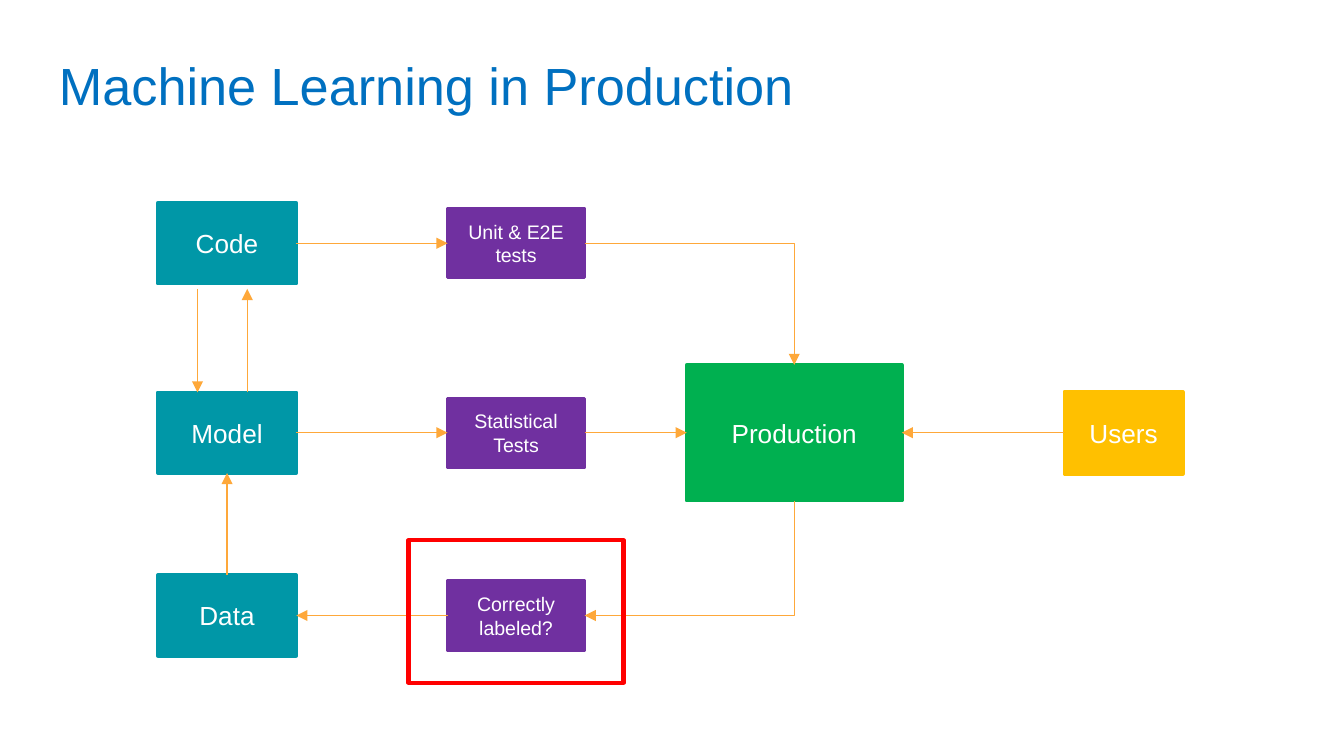
from typing import NamedTuple

from lxml.etree import SubElement
from pptx import Presentation
from pptx.dml.color import RGBColor
from pptx.enum.shapes import MSO_CONNECTOR, MSO_SHAPE
from pptx.enum.text import MSO_ANCHOR, PP_ALIGN
from pptx.oxml.ns import qn
from pptx.util import Inches, Pt

WIDE = 10
HIGH = WIDE * 9 / 16
FONT = "Arial"
HEX = {"title": "0070C0", "asset": "0097A7", "test": "7030A0", "prod": "00B050",
       "user": "FFC000", "arrow": "FEA83A", "mark": "FF0000", "text": "FFFFFF"}

# Grid: centres of the columns and rows; the last row is for the red frame
COLS = [1.69, 3.84, 5.91, 8.36]
ROWS = [1.81, 3.22, 4.58, 4.55]
TOP, LEFT, BOTTOM, RIGHT = range(4)


class Kind(NamedTuple):
    wide: float
    high: float
    size: float


class Box(NamedTuple):
    text: str
    kind: str
    col: int
    row: int


class Link(NamedTuple):
    start: str
    out: int
    end: str
    into: int


KINDS = {"asset": Kind(1.03, 0.6, 14), "test": Kind(1.02, 0.51, 10.5),
         "prod": Kind(1.6, 1.01, 14), "user": Kind(0.88, 0.61, 14)}

BOXES = [
    Box("Code", "asset", 0, 0), Box("Model", "asset", 0, 1), Box("Data", "asset", 0, 2),
    Box("Unit & E2E tests", "test", 1, 0), Box("Statistical Tests", "test", 1, 1),
    Box("Correctly labeled?", "test", 1, 2),
    Box("Production", "prod", 2, 1), Box("Users", "user", 3, 1),
]

LINKS = [
    Link("Code", RIGHT, "Unit & E2E tests", LEFT),
    Link("Model", RIGHT, "Statistical Tests", LEFT),
    Link("Statistical Tests", RIGHT, "Production", LEFT),
    Link("Users", LEFT, "Production", RIGHT),
    Link("Data", TOP, "Model", BOTTOM),
    Link("Correctly labeled?", LEFT, "Data", RIGHT),
    Link("Unit & E2E tests", RIGHT, "Production", TOP),
    Link("Production", BOTTOM, "Correctly labeled?", RIGHT),
]


def tint(name: str) -> RGBColor:
    return RGBColor.from_string(HEX[name])


def write(frame, text: str, size: float, name: str) -> None:
    frame.word_wrap = True
    run = frame.paragraphs[0].add_run()
    run.text = text
    run.font.name, run.font.size = FONT, Pt(size)
    run.font.color.rgb = tint(name)


def draw_rect(slide, col: int, row: int, wide: float, high: float, name: str, line: float):
    """Draw an unfilled rectangle centred on a grid point."""
    rect = slide.shapes.add_shape(
        MSO_SHAPE.RECTANGLE, Inches(COLS[col] - wide / 2), Inches(ROWS[row] - high / 2),
        Inches(wide), Inches(high))
    rect.shadow.inherit = False
    rect.fill.background()
    rect.line.color.rgb = tint(name)
    rect.line.width = Pt(line)
    return rect


def draw_box(slide, box: Box):
    kind = KINDS[box.kind]
    rect = draw_rect(slide, box.col, box.row, kind.wide, kind.high, box.kind, 2)
    rect.fill.solid()
    rect.fill.fore_color.rgb = tint(box.kind)
    frame = rect.text_frame
    frame.vertical_anchor = MSO_ANCHOR.MIDDLE
    frame.paragraphs[0].alignment = PP_ALIGN.CENTER
    write(frame, box.text, kind.size, "text")
    return rect


def draw_arrow(slide, start: tuple = (0, 0), end: tuple = (0, 0), bent: bool = False):
    route = MSO_CONNECTOR.ELBOW if bent else MSO_CONNECTOR.STRAIGHT
    line = slide.shapes.add_connector(route, *map(Inches, start + end))
    line.line.color.rgb = tint("arrow")
    line.line.width = Pt(0.75)
    SubElement(line.line._get_or_add_ln(), qn("a:tailEnd"), type="triangle")
    SubElement(line._element.spPr, qn("a:effectLst"))
    return line


def turn_once(line, down: bool) -> None:
    """Give an elbow one corner; a line that starts downwards is turned by 90 degrees."""
    props = line._element.spPr
    props.find(qn("a:prstGeom")).set("prst", "bentConnector2")
    if down:
        wide, high = line.width, line.height
        line.left += (wide - high) // 2
        line.top += (high - wide) // 2
        line.width, line.height = high, wide
        frame = props.find(qn("a:xfrm"))
        frame.attrib.pop("flipH", None)
        frame.set("rot", "5400000")


def draw_link(slide, link: Link, rects: dict) -> None:
    bent = link.out % 2 != link.into % 2
    line = draw_arrow(slide, bent=bent)
    line.begin_connect(rects[link.start], link.out)
    line.end_connect(rects[link.end], link.into)
    if bent:
        turn_once(line, link.out == BOTTOM)


def main() -> None:
    deck = Presentation()
    deck.slide_width, deck.slide_height = Inches(WIDE), Inches(HIGH)
    slide = deck.slides.add_slide(deck.slide_layouts[6])

    # Title
    edge = 0.034 * WIDE
    title = slide.shapes.add_textbox(
        Inches(edge), Inches(0.3), Inches(WIDE - 2 * edge), Inches(0.63)).text_frame
    title.margin_top = title.margin_bottom = Inches(0.1)
    write(title, "Machine Learning in Production", 28, "title")

    # Boxes and the arrows that join them
    rects = {box.text: draw_box(slide, box) for box in BOXES}
    for link in LINKS:
        draw_link(slide, link, rects)

    # Pair of arrows between code and model
    high, low = ROWS[0] + 0.34, ROWS[1] - KINDS["asset"].high / 2
    down, up = COLS[0] - 0.22, COLS[0] + 0.15
    draw_arrow(slide, (down, high), (down, low))
    draw_arrow(slide, (up, low), (up, high))

    # Red frame around the label check
    draw_rect(slide, 1, 3, 1.6, 1.06, "mark", 2.25)

    deck.save("out.pptx")


if __name__ == "__main__":
    main()
